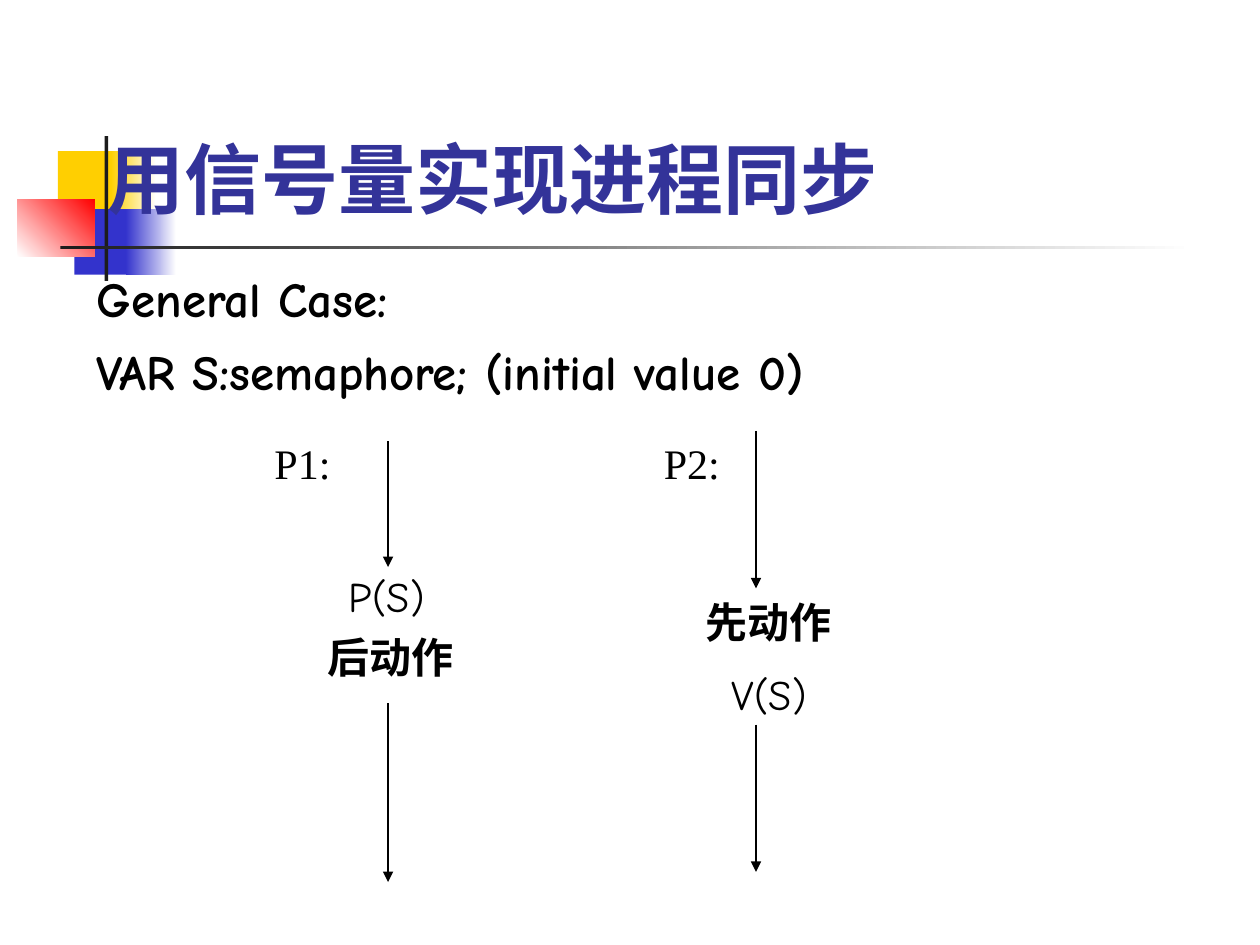
from dataclasses import dataclass

from lxml.etree import SubElement
from pptx import Presentation
from pptx.dml.color import RGBColor
from pptx.enum.shapes import MSO_CONNECTOR as Connector, MSO_SHAPE as Shape
from pptx.enum.text import MSO_ANCHOR as Anchor, MSO_AUTO_SIZE as AutoSize, PP_ALIGN as Align
from pptx.oxml.ns import qn
from pptx.util import Inches, Pt


@dataclass(frozen=True)
class Theme:
    yellow: str = "FFCF01"
    blue: str = "3333CC"
    red: str = "FF0000"
    dark: str = "1C1C1C"
    white: str = "FFFFFF"
    title: str = "333399"
    ink: str = "000000"
    title_font: str = "Lato"
    hand_font: str = "Comic Neue"
    serif_font: str = "Times New Roman"
    title_size: int = 44
    intro_size: int = 28
    step_size: int = 24


THEME = Theme()


@dataclass
class Line:
    text: str
    font: str = THEME.hand_font
    size: int = THEME.step_size
    bold: bool = False
    before: float = 0
    spacing: float = 1.0
    indent: float = 0


def rgb(color):
    return RGBColor.from_string(color)


def add_block(slide, box, color, fade_to=None, angle=0):
    block = slide.shapes.add_shape(Shape.RECTANGLE, *map(Inches, box))
    block.shadow.inherit = False
    block.line.fill.background()
    if fade_to is None:
        block.fill.solid()
        block.fill.fore_color.rgb = rgb(color)
        return
    block.fill.gradient()
    block.fill.gradient_angle = angle
    for stop, stop_color in zip(block.fill.gradient_stops, (color, fade_to)):
        stop.color.rgb = rgb(stop_color)


def write_run(paragraph, text, font, size, color, bold):
    run = paragraph.add_run()
    run.text = text
    run.font.name = font
    run.font.size = Pt(size)
    run.font.color.rgb = rgb(color)
    run.font.bold = bold


def add_lines(slide, box, lines):
    frame = slide.shapes.add_textbox(*map(Inches, box)).text_frame
    frame.word_wrap = True
    for index, line in enumerate(lines):
        paragraph = frame.add_paragraph() if index else frame.paragraphs[0]
        paragraph.space_before = Pt(line.before)
        paragraph.line_spacing = line.spacing
        if line.indent:
            paragraph._p.get_or_add_pPr().set("marL", str(Inches(line.indent)))
        write_run(paragraph, line.text, line.font, line.size, THEME.ink, line.bold)


def add_down_arrow(slide, x, top, bottom):
    arrow = slide.shapes.add_connector(
        Connector.STRAIGHT, Inches(x), Inches(top), Inches(x), Inches(bottom))
    arrow.line.color.rgb = rgb(THEME.ink)
    arrow.line.width = Pt(0.75)
    SubElement(arrow.line._get_or_add_ln(), qn("a:tailEnd"), type="triangle")
    SubElement(arrow._element.spPr, qn("a:effectLst"))


def add_ornament(slide, left, top):
    """Overlapping colour blocks crossed by a dark upright and a fading rule."""
    blocks = [
        ((0.32, 0.12, 0.48, 0.52), THEME.yellow),
        ((0.74, 0.12, 0.36, 0.52), THEME.yellow, THEME.white),
        ((0.45, 0.58, 0.46, 0.52), THEME.blue),
        ((0.86, 0.58, 0.4, 0.52), THEME.blue, THEME.white),
        ((0, 0.5, 0.61, 0.46), THEME.white, THEME.red, 45),
        ((0.69, 0, 0.03, 1.15), THEME.dark),
        ((0.34, 0.87, 9, 0.03), THEME.dark, THEME.white),
    ]
    for (x, y, width, height), *paint in blocks:
        add_block(slide, (left + x, top + y, width, height), *paint)


def place_title(slide, box, text):
    title = slide.shapes.title
    title.left, title.top, title.width, title.height = map(Inches, box)
    slide.shapes._spTree.append(title._element)  # in front of the ornament
    frame = title.text_frame
    frame.auto_size = AutoSize.NONE
    frame.vertical_anchor = Anchor.BOTTOM
    heading = frame.paragraphs[0]
    heading.alignment = Align.LEFT
    write_run(heading, text, THEME.title_font, THEME.title_size, THEME.title, True)


def add_intro(slide, box):
    size = THEME.intro_size
    add_lines(slide, box, [
        Line("General Case:", size=size, bold=True),
        Line("VAR S:semaphore; (initial value 0)", size=size, bold=True,
             before=17.5, spacing=0.7),
    ])


def add_process(slide, label, label_left, axis, arrows, steps_box, steps):
    """One process: its label, the arrows along its axis and the steps between."""
    for top, bottom in arrows:
        add_down_arrow(slide, axis, top, bottom)
    add_lines(slide, steps_box, steps)
    add_lines(slide, (label_left, 3.42, 0.75, 0.5), [Line(label, THEME.serif_font)])


def main():
    deck = Presentation()
    deck.slide_width, deck.slide_height = Inches(10), Inches(7.5)
    slide = deck.slides.add_slide(deck.slide_layouts[5])
    add_ornament(slide, 0.14, 1.08)
    place_title(slide, (0.75, 0.58, 8.5, 1.25), "用信号量实现进程同步")
    add_intro(slide, (0.67, 2.08, 8.75, 1.14))
    add_process(
        slide, "P1:", 2.08, 3.08, [(3.5, 4.5), (5.58, 7)], (2.5, 4.48, 1.25, 0.99),
        [Line("P(S)", indent=0.17), Line("后动作", bold=True, before=6)])
    add_process(
        slide, "P2:", 5.17, 6, [(3.42, 4.67), (5.75, 6.92)], (5.5, 4.73, 1.25, 1.03),
        [Line("先动作", bold=True, spacing=0.9),
         Line("V(S)", before=15, spacing=0.9, indent=0.21)])
    deck.save("out.pptx")


if __name__ == "__main__":
    main()
